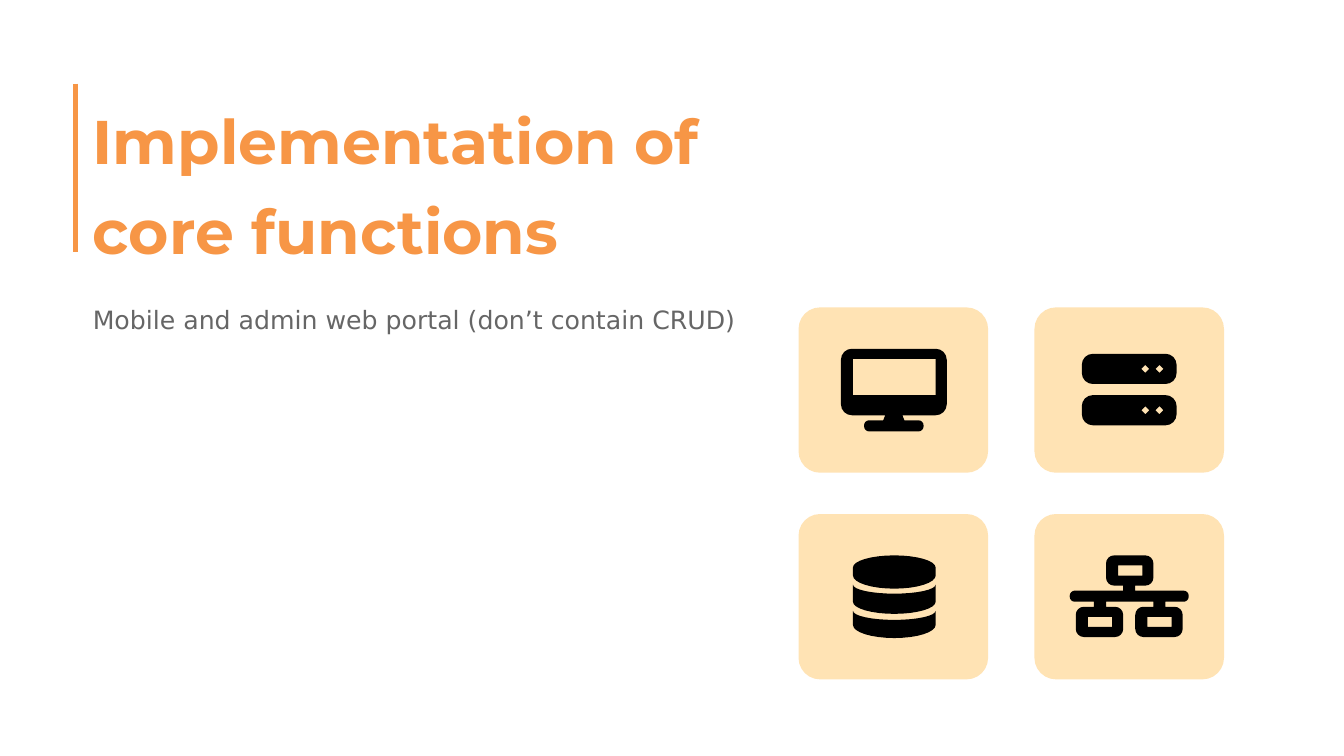
from math import cos, pi, sin

from lxml.etree import SubElement
from pptx import Presentation
from pptx.dml.color import RGBColor
from pptx.enum.shapes import MSO_CONNECTOR, MSO_SHAPE
from pptx.enum.text import MSO_ANCHOR, MSO_AUTO_SIZE, PP_ALIGN
from pptx.oxml.ns import qn
from pptx.util import Inches, Pt

TITLE = "Implementation of core functions"
SUBTITLE = "Mobile and admin web portal (don’t contain CRUD)"
COLORS = {"accent": "F79646", "text": "666666", "card": "FFE3B4", "icon": "000000"}

CARD_LEFT, CARD_TOP = 7.92, 3.05
CARD_WIDTH, CARD_HEIGHT = 1.88, 1.64
STEP_X, STEP_Y = 2.34, 2.05


def rectangle(left, top, width, height, radius=0):
    """Corner points of a rectangle, with arcs when a radius is given."""
    right, bottom = left + width, top + height
    if not radius:
        return [(left, top), (right, top), (right, bottom), (left, bottom)]
    centers = [(right - radius, bottom - radius), (left + radius, bottom - radius),
               (left + radius, top + radius), (right - radius, top + radius)]
    return [(x + radius * cos(angle), y + radius * sin(angle))
            for corner, (x, y) in enumerate(centers)
            for angle in [(corner + step / 4) * pi / 2 for step in range(5)]]


def disk_band(top, top_sag, bottom, bottom_sag, center=0.95, radius=0.41):
    """Slice of a cylinder whose upper and lower edges are half ellipses."""
    angles = [pi * step / 16 for step in range(17)]
    lower = [(center + radius * cos(a), bottom + bottom_sag * sin(a)) for a in angles]
    upper = [(center - radius * cos(a), top + top_sag * sin(a)) for a in angles]
    return lower + upper


def diamond(x, y, half=0.04):
    return [(x - half, y), (x, y - half), (x + half, y), (x, y + half)]


def server(top):
    return [rectangle(0.47, top, 0.94, 0.3, 0.11),
            diamond(1.1, top + 0.15), diamond(1.24, top + 0.15)]


def network_node(left, top):
    return [rectangle(left, top, 0.47, 0.3, 0.08),
            rectangle(left + 0.12, top + 0.1, 0.24, 0.1)]


MONITOR = [rectangle(0.42, 0.41, 1.05, 0.66, 0.11), rectangle(0.54, 0.51, 0.82, 0.36),
           [(0.84, 1.12), (0.86, 1.07), (1.03, 1.07), (1.05, 1.12)],
           rectangle(0.65, 1.12, 0.59, 0.11, 0.05)]
SERVERS = server(0.46) + server(0.87)
DATABASE = [disk_band(0.53, -0.12, 0.61, 0.13), disk_band(0.7, 0.09, 0.87, 0.12),
            disk_band(0.96, 0.09, 1.1, 0.13)]
NETWORK = [*network_node(0.71, 0.41), rectangle(0.88, 0.71, 0.12, 0.05),
           rectangle(0.35, 0.76, 1.18, 0.11, 0.05),
           rectangle(0.59, 0.87, 0.12, 0.05), rectangle(1.18, 0.87, 0.12, 0.05),
           *network_node(0.41, 0.92), *network_node(1.0, 0.92)]
ICON_GRID = [[MONITOR, SERVERS], [DATABASE, NETWORK]]


def color(name):
    return RGBColor.from_string(COLORS[name])


def paint(shape, name):
    shape.shadow.inherit = False
    shape.fill.solid()
    shape.fill.fore_color.rgb = color(name)
    shape.line.fill.background()


def fill_placeholder(box, text, place, inset, font, size, color_name, bold, spacing):
    box.left, box.top, box.width, box.height = map(Inches, place)
    frame = box.text_frame
    frame.text = text
    frame.word_wrap = True
    frame.auto_size = MSO_AUTO_SIZE.NONE
    frame.vertical_anchor = MSO_ANCHOR.TOP
    frame.margin_left = frame.margin_right = frame.margin_bottom = 0
    frame.margin_top = Inches(inset)
    para = frame.paragraphs[0]
    para.alignment = PP_ALIGN.LEFT
    para.line_spacing = spacing
    para.space_before = Pt(0)
    span = para.runs[0].font
    span.name, span.size, span.bold = font, Pt(size), bold
    span.color.rgb = color(color_name)


def draw_card(slide, left, top):
    card = slide.shapes.add_shape(MSO_SHAPE.ROUNDED_RECTANGLE, Inches(left), Inches(top),
                                  Inches(CARD_WIDTH), Inches(CARD_HEIGHT))
    card.adjustments[0] = 0.13
    paint(card, "card")


def draw_icon(slide, left, top, contours):
    """One outline per icon; a contour inside another becomes a hole."""
    placed = [[(Inches(left + x), Inches(top + y)) for x, y in contour]
              for contour in contours]
    builder = slide.shapes.build_freeform(*placed[0][0])
    for number, (start, *rest) in enumerate(placed):
        if number:
            builder.move_to(*start)
        builder.add_line_segments(rest, close=True)
    paint(builder.convert_to_shape(), "icon")


def draw_title_bar(slide):
    bar = slide.shapes.add_connector(MSO_CONNECTOR.STRAIGHT, Inches(0.75), Inches(0.83),
                                     Inches(0.75), Inches(2.5))
    bar.line.color.rgb = color("accent")
    bar.line.width = Pt(4)
    SubElement(bar.element.spPr, qn("a:effectLst"))


def main():
    deck = Presentation()
    deck.slide_width, deck.slide_height = Inches(13.33), Inches(7.5)
    slide = deck.slides.add_slide(deck.slide_layouts[0])
    fill_placeholder(slide.shapes.title, TITLE, (0.92, 0.83, 7.37, 1.78), 0.03,
                     "Montserrat", 44, "accent", True, Pt(64.5))
    fill_placeholder(slide.placeholders[1], SUBTITLE, (0.92, 2.96, 6.78, 0.33), 0.01,
                     "DejaVu Sans", 18, "text", False, 1.16)
    for row, icons in enumerate(ICON_GRID):
        for column, icon in enumerate(icons):
            left, top = CARD_LEFT + column * STEP_X, CARD_TOP + row * STEP_Y
            draw_card(slide, left, top)
            draw_icon(slide, left, top, icon)
    draw_title_bar(slide)
    deck.save("out.pptx")


if __name__ == "__main__":
    main()
